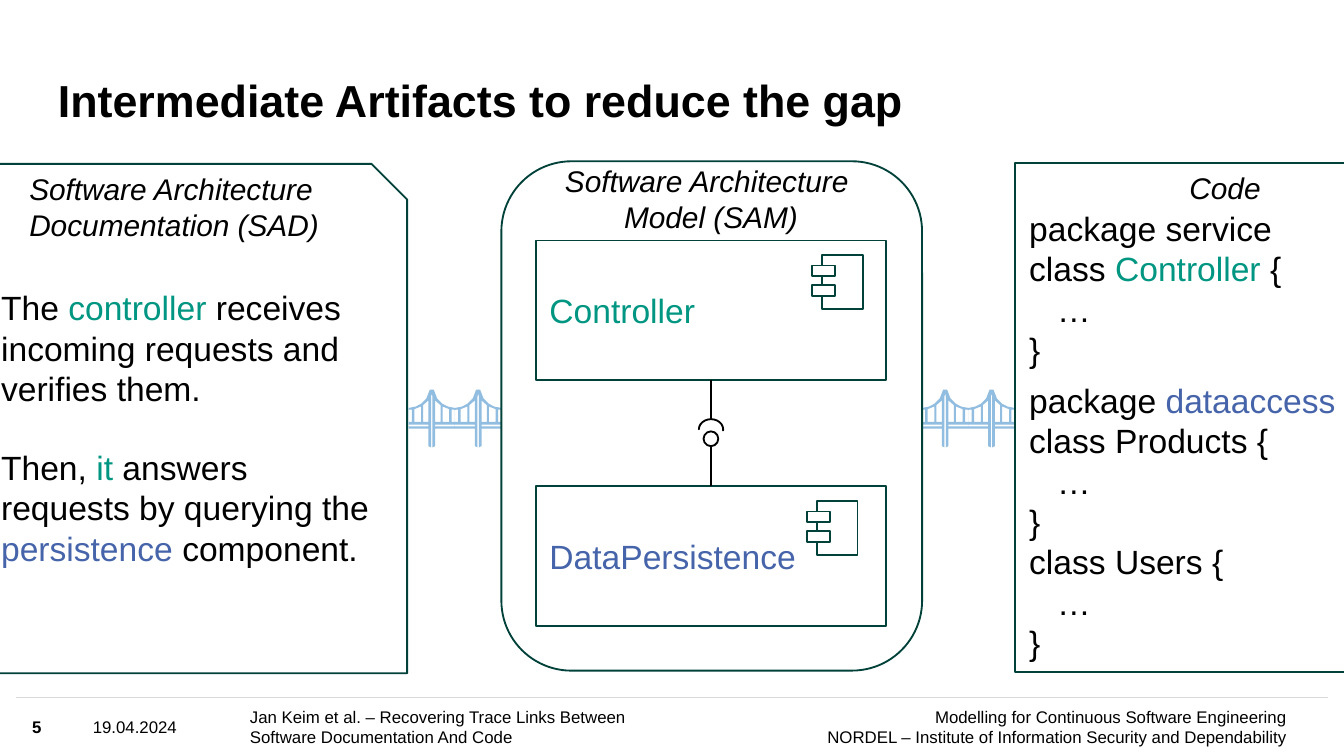
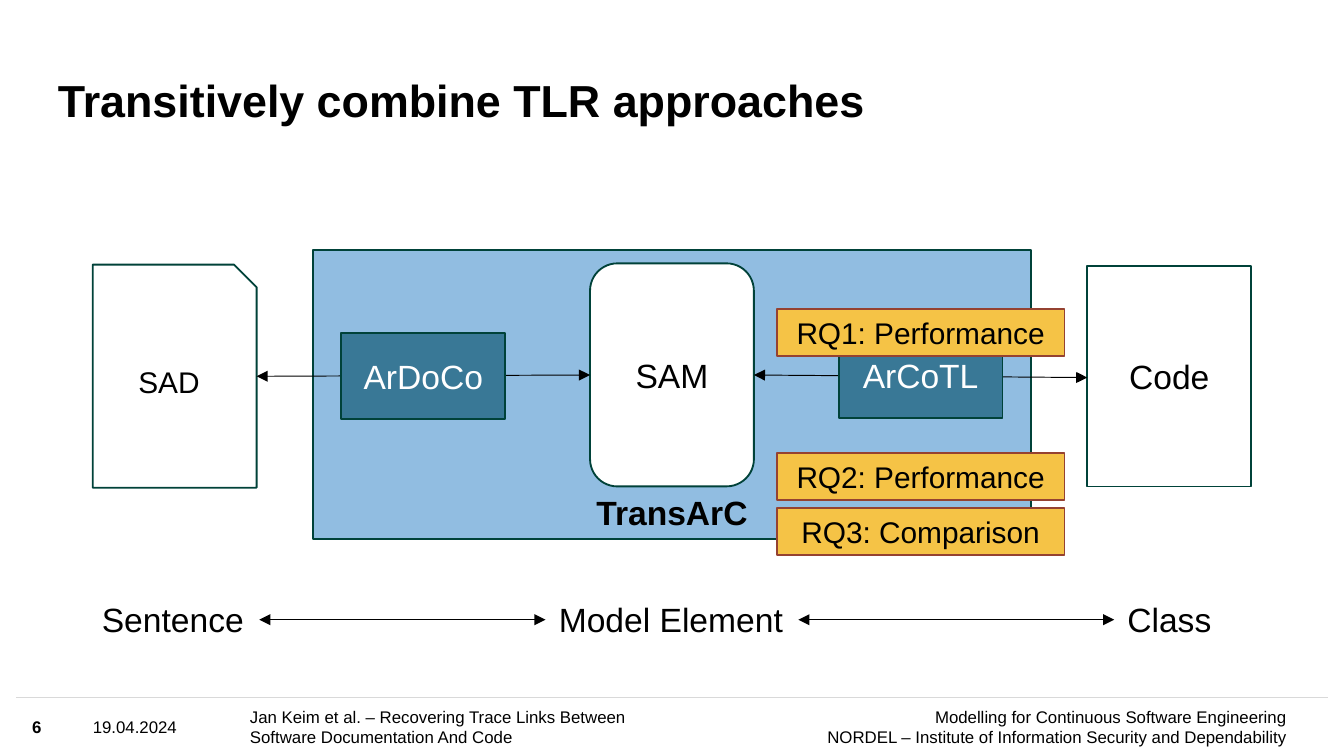
"""Build two slides on bridging documentation and code with an architecture model."""
from dataclasses import dataclass, field
from typing import NamedTuple

from lxml import etree
from pptx import Presentation
from pptx.dml.color import RGBColor
from pptx.enum.shapes import MSO_CONNECTOR, MSO_SHAPE
from pptx.enum.text import MSO_ANCHOR, PP_ALIGN
from pptx.oxml.ns import qn
from pptx.slide import Slide
from pptx.util import Pt

RECT = MSO_SHAPE.RECTANGLE
ROUND = MSO_SHAPE.ROUNDED_RECTANGLE
SNIP = MSO_SHAPE.SNIP_1_RECTANGLE
OVAL = MSO_SHAPE.OVAL
ARC = MSO_SHAPE.BLOCK_ARC
STRAIGHT = MSO_CONNECTOR.STRAIGHT
LEFT, MID, RIGHT = PP_ALIGN.LEFT, PP_ALIGN.CENTER, PP_ALIGN.RIGHT
TOP, CORE, BASE = MSO_ANCHOR.TOP, MSO_ANCHOR.MIDDLE, MSO_ANCHOR.BOTTOM

HUES = {
    "black": "000000", "white": "FFFFFF", "gray": "D9D9D9", "pine": "004239",
    "teal": "009682", "blue": "4664AA", "sky": "91BDE1", "steel": "397896",
    "gold": "F5C346", "rust": "954231",
}
BODY = {"name": "Arial", "size": Pt(18)}
LABEL = BODY | {"size": Pt(16)}
TERM = LABEL | {"italic": True}
HEAD = BODY | {"size": Pt(24), "bold": True}
SMALL = BODY | {"size": Pt(9)}
FLUSH = dict.fromkeys(("margin_left", "margin_top", "margin_right", "margin_bottom"), 0)
ROW = 20.7


class Run(NamedTuple):
    text: str
    hue: str = "black"


class Para(NamedTuple):
    runs: tuple[Run, ...]
    gap: float = 0
    dent: float = 0


@dataclass
class Box:
    x: float
    y: float
    w: float
    h: float
    kind: int | None = RECT
    text: tuple[Para, ...] = ()
    fill: str | None = None
    line: str = "pine"
    font: dict = field(default_factory=lambda: BODY)
    align: int = MID
    frame: dict = field(default_factory=dict)
    adjust: tuple[float, ...] = ()
    lead: float = 1


@dataclass
class Link:
    x: float
    y: float
    to_x: float
    to_y: float
    hue: str = "black"
    width: float = 0.5
    heads: bool = True


def para(*runs: str | Run, gap: float = 0, dent: float = 0) -> Para:
    return Para(tuple(r if isinstance(r, Run) else Run(r) for r in runs), gap, dent)


def lines(*rows: str) -> tuple[Para, ...]:
    return tuple(para(row) for row in rows)


def color(hue: str) -> RGBColor:
    return RGBColor.from_string(HUES[hue])


def apply(target: object, values: dict) -> None:
    for key, value in values.items():
        setattr(target, key, value)


def write(shape, box: Box) -> None:
    frame = shape.text_frame
    apply(frame, {"word_wrap": True, "vertical_anchor": CORE} | box.frame)
    for i, item in enumerate(box.text):
        part = frame.add_paragraph() if i else frame.paragraphs[0]
        apply(part, {"alignment": box.align, "line_spacing": box.lead,
                     "space_before": Pt(item.gap)})
        if item.dent:
            part._p.get_or_add_pPr().set("marL", str(Pt(item.dent)))
        for piece in item.runs:
            run = part.add_run()
            run.text = piece.text
            apply(run.font, box.font)
            run.font.color.rgb = color(piece.hue)


def draw_box(slide: Slide, box: Box) -> None:
    place = [Pt(v) for v in (box.x, box.y, box.w, box.h)]
    if box.kind is None:
        shape = slide.shapes.add_textbox(*place)
    else:
        shape = slide.shapes.add_shape(box.kind, *place)
        shape.shadow.inherit = False
        for i, value in enumerate(box.adjust):
            shape.adjustments[i] = value
        if box.fill:
            shape.fill.solid()
            shape.fill.fore_color.rgb = color(box.fill)
        else:
            shape.fill.background()
        shape.line.color.rgb = color(box.line)
        shape.line.width = Pt(1)
    if box.text:
        write(shape, box)


def draw_link(slide: Slide, link: Link) -> None:
    ends = [Pt(v) for v in (link.x, link.y, link.to_x, link.to_y)]
    wire = slide.shapes.add_connector(STRAIGHT, *ends)
    wire.line.color.rgb = color(link.hue)
    wire.line.width = Pt(link.width)
    if link.heads:
        stroke = wire.line._get_or_add_ln()
        for tag in ("a:headEnd", "a:tailEnd"):
            etree.SubElement(stroke, qn(tag), type="triangle")
    etree.SubElement(wire._element.spPr, qn("a:effectLst"))


def draw(slide: Slide, *items: Box | Link) -> None:
    for item in items:
        (draw_box if isinstance(item, Box) else draw_link)(slide, item)


def note(x: float, y: float, w: float, h: float, text: tuple[Para, ...], **rest) -> Box:
    return Box(x, y, w, h, None, text, **({"align": LEFT} | rest))


def draw_bridge(slide: Slide, left: float, top: float) -> None:
    unit, span = 0.72, 17.25
    edge = [(0, 0), (0, 3), (0.5, 5), (0.5, 43), (2.5, 42), (2.5, 29), (span, 29),
            (span, 13.6), (12, 12.6), (8, 10.5), (4, 6.5), (1.5, 0)]
    gaps = [[(2.5, 8), (6.5, 11.5), (6.5, 24), (2.5, 24)],
            [(8, 12.5), (13, 14.5), (13, 24), (8, 24)],
            [(14.8, 14.8), (span, 15), (span, 24), (14.8, 24)],
            [(2.5, 26), (span, 26), (span, 27.3), (2.5, 27.3)]]
    loops = [[(Pt(left + (mast + side * x) * unit), Pt(top + y * unit)) for x, y in loop]
             for mast in (span, 3 * span) for side in (-1, 1) for loop in (edge, *gaps)]
    path = slide.shapes.build_freeform(*loops[0][0], scale=1.0)
    for i, loop in enumerate(loops):
        if i:
            path.move_to(*loop[0])
        path.add_line_segments(loop[1:], close=True)
    shape = path.convert_to_shape()
    shape.shadow.inherit = False
    shape.fill.solid()
    shape.fill.fore_color.rgb = color("sky")
    shape.line.fill.background()


def start(deck, title: str, page: int) -> Slide:
    slide = deck.slides.add_slide(deck.slide_layouts[6])
    draw(slide, Link(8.6, 373.7, 711.4, 373.7, "gray", 1, False))
    feet = [
        (133.9, 290.2, LEFT, SMALL, ("Jan Keim et al. – Recovering Trace Links Between",
                                     "Software Documentation And Code")),
        (433.4, 255.6, RIGHT, SMALL,
         ("Modelling for Continuous Software Engineering",
          "NORDEL – Institute of Information Security and Dependability")),
        (49.7, 80.6, LEFT, SMALL, ("19.04.2024",)),
        (17.3, 25.9, LEFT, SMALL | {"bold": True}, (str(page),)),
    ]
    for x, w, align, font, rows in feet:
        draw(slide, note(x, 373.7, w, 31, lines(*rows), align=align, font=font, frame=FLUSH))
    draw(slide, note(31, 23, 540.7, 45.4, lines(title), font=HEAD, lead=0.9,
                     frame=FLUSH | {"vertical_anchor": BASE}))
    return slide


def draw_part(slide: Slide, y: float, name: Run, x: float, drop: float) -> None:
    draw(slide, Box(287.3, y, 187.2, 74.9, text=(para(name),), align=LEFT),
         Box(x, y + drop, 21.6, 28.8))
    for step in (15.8, 5.4):
        draw(slide, Box(x - 5.4, y + drop + step, 12.2, 5.8, fill="white"))


def build_gap(deck) -> None:
    slide = start(deck, "Intermediate Artifacts to reduce the gap", 5)
    for x in (493.9, 218.9):
        draw_bridge(slide, x, 208.8)
    draw(slide, Box(268.6, 86.4, 225.4, 272.9, ROUND))
    draw_part(slide, 260.6, Run("DataPersistence", "blue"), 437.8, 8)
    draw_part(slide, 128.9, Run("Controller", "teal"), 440.6, 7.9)
    loose = {"word_wrap": False, "vertical_anchor": TOP}
    sad = (
        para("The ", Run("controller ", "teal"),
             "receives incoming requests and verifies them."),
        para("Then, ", Run("it ", "teal"), "answers requests by querying the ",
             Run("persistence ", "blue"), "component.", gap=ROW),
    )
    body = para("…", dent=15)
    code = (
        para("package service"), para("class ", Run("Controller", "teal"), " {"),
        body, para("}"),
        para("package ", Run("dataaccess", "blue"), gap=5.75),
        para("class Products {"), body, para("}"),
        para("class Users {"), body, para("}"),
    )
    draw(
        slide,
        Link(380.9, 260.6, 380.9, 232.6, width=1, heads=False),
        Box(376.9, 231.1, 7.9, 7.9, OVAL, fill="white", line="black"),
        Link(380.9, 224.6, 380.9, 203.8, width=1, heads=False),
        Box(374.4, 224.6, 13, 10.8, ARC, fill="black", line="black", adjust=(108, 3.47, 0)),
        note(294.5, 83.5, 172.8, 46.1, lines("Software Architecture ", "Model (SAM)"),
             font=TERM, align=MID, frame=loose),
        Box(-6.5, 87.8, 224.6, 272.9, SNIP, sad, align=LEFT, adjust=(0.085,)),
        note(8.6, 87.8, 171.4, 46.1, lines("Software Architecture", "Documentation (SAD)"),
             font=TERM, frame=loose),
        Box(543.6, 87.1, 225.4, 272.9, text=lines("Code"), font=TERM,
            frame={"vertical_anchor": TOP}),
        note(544.3, 87.1 + ROW, 225.4, 276, code, frame={"vertical_anchor": TOP}),
    )


def build_chain(deck) -> None:
    slide = start(deck, "Transitively combine TLR approaches", 6)
    wide = 87.8
    draw(
        slide,
        Box(167.8, 133.9, 384.5, 154.8, text=lines("TransArC"), fill="sky",
            font=BODY | {"bold": True}, frame={"vertical_anchor": BASE}),
        Box(49.7, 141.8, wide, 119.5, SNIP, lines("SAD"), font=LABEL, adjust=(0.138,)),
        Box(582.5, 142.6, wide, 118.1, text=lines("Code")),
        Box(316.1, 141.1, wide, 119.5, ROUND, lines("SAM"), "white"),
        Link(137.5, 201.6, 316.1, 200.9),
        Link(403.9, 200.9, 582.5, 202.3),
    )
    for x, y, name in ((182.9, 178.6, "ArDoCo"), (449.3, 177.8, "ArCoTL")):
        draw(slide, Box(x, y, wide, 46.1, text=(para(Run(name, "white")),), fill="steel"))
    for y, name in ((165.6, "RQ1: Performance"), (242.6, "RQ2: Performance"),
                    (272.2, "RQ3: Comparison")):
        draw(slide, Box(416.2, y, 154.1, 25.2, text=lines(name), fill="gold",
                        line="rust", font=LABEL))
    terms = [(47.5, 91.4, "Sentence"), (292.3, 135.4, "Model Element"), (596.9, 59.8, "Class")]
    for x, w, name in terms:
        draw(slide, note(x, 317.5, w, 28.8, lines(name), frame={"word_wrap": False}))
    for (x, w, _), (end, _, _) in zip(terms, terms[1:]):
        draw(slide, Link(x + w, 332, end, 332))


def main() -> None:
    deck = Presentation()
    apply(deck, {"slide_width": Pt(720), "slide_height": Pt(405)})
    build_gap(deck)
    build_chain(deck)
    deck.save("out.pptx")


if __name__ == "__main__":
    main()
